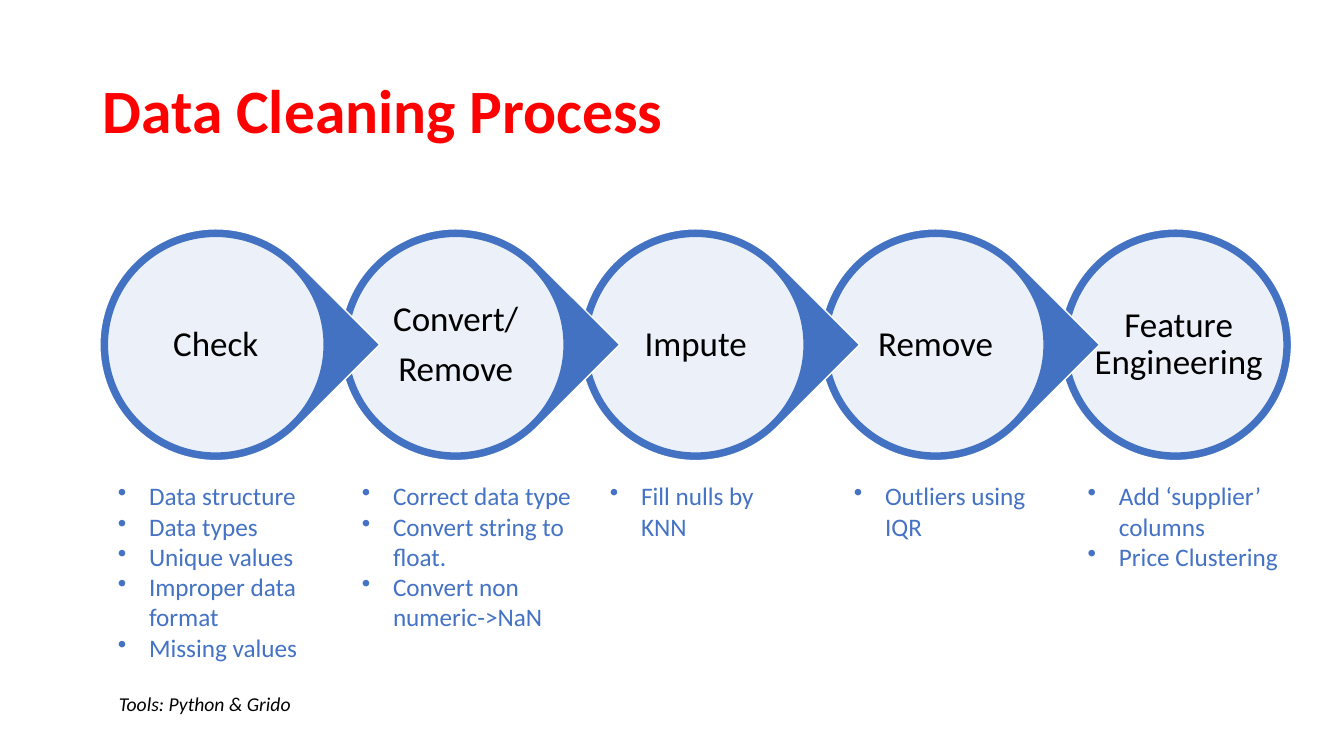
from dataclasses import dataclass

from lxml import etree
from pptx import Presentation
from pptx.dml.color import RGBColor
from pptx.enum.shapes import MSO_SHAPE
from pptx.enum.text import MSO_ANCHOR, PP_ALIGN
from pptx.oxml.ns import qn
from pptx.util import Inches, Pt

ELLIPSE, TEARDROP = MSO_SHAPE.OVAL, MSO_SHAPE.TEAR
TOP, MIDDLE = MSO_ANCHOR.TOP, MSO_ANCHOR.MIDDLE
LEFT, CENTER = PP_ALIGN.LEFT, PP_ALIGN.CENTER


@dataclass(frozen=True)
class Theme:
    font: str = "Calibri"
    title: str = "FF0000"
    ink: str = "000000"
    ring: str = "4372C3"
    bullet: str = "4472C4"
    white: str = "FFFFFF"
    title_size: int = 44
    label_size: int = 25
    bullet_size: int = 18
    note_size: int = 14


@dataclass(frozen=True)
class Step:
    label: tuple
    bullets: tuple
    bullet_left: float  # from the left edge of the circle
    bullet_width: float
    bullet_height: float
    label_left: float = 0.38
    label_width: float = 1.54


THEME = Theme()
STEPS = (
    Step(("Check",),
         ("Data structure", "Data types", "Unique values",
          "Improper data format", "Missing values"), 0.08, 2.08, 1.92),
    Step(("Convert/", "Remove"),
         ("Correct data type", "Convert string to float.",
          "Convert non numeric->NaN"), 0.12, 2.34, 2.22),
    Step(("Impute",), ("Fill nulls by KNN",), 0.2, 2, 1.31),
    Step(("Remove",), ("Outliers using IQR",), 0.24, 2, 1.31),
    Step(("Feature Engineering",),
         ("Add ‘supplier’ columns", "Price Clustering"), 0.18, 2.27, 1.62,
         0.26, 1.84),
)
PITCH = 2.38
DIAMETER = 2.3
RING = 0.075
LABEL_HEIGHT = 1.54
BULLET_TOP = 2.45  # from the top of the circles
INDENT = 0.31


def add_bullet(p, color):
    pPr = p._p.get_or_add_pPr()
    pPr.set("marL", str(Inches(INDENT)))
    pPr.set("indent", str(-Inches(INDENT)))
    clr = etree.SubElement(pPr, qn("a:buClr"))
    etree.SubElement(clr, qn("a:srgbClr"), val=color)
    etree.SubElement(pPr, qn("a:buChar"), char="•")


def add_text(s, box, lines, size, color, bold=False, italic=False, align=LEFT,
             anchor=TOP, margins=(0.1, 0.05), spacing=None, before=0,
             bulleted=False):
    tf = s.shapes.add_textbox(*map(Inches, box)).text_frame
    tf.word_wrap = True
    tf.vertical_anchor = anchor
    tf.margin_left = tf.margin_right = Inches(margins[0])
    tf.margin_top = tf.margin_bottom = Inches(margins[1])
    for i, line in enumerate(lines):
        p = tf.add_paragraph() if i else tf.paragraphs[0]
        p.alignment = align
        if spacing:
            p.line_spacing = spacing
        if i and before:
            p.space_before = Pt(before)
        if bulleted:
            add_bullet(p, color)
        r = p.add_run()
        r.text = line
        r.font.name = THEME.font
        r.font.size = Pt(size)
        r.font.bold = bold
        r.font.italic = italic
        r.font.color.rgb = RGBColor.from_string(color)


def add_round(s, kind, left, top, size, fill, line):
    sp = s.shapes.add_shape(kind, *map(Inches, (left, top, size, size)))
    sp.shadow.inherit = False
    sp.fill.solid()
    sp.fill.fore_color.rgb = RGBColor.from_string(fill)
    sp.line.color.rgb = RGBColor.from_string(line)
    sp.line.width = Pt(1)
    return sp


def add_circle(s, step, left, top, pointed):
    """Draw a ringed circle, pointing at the next one if asked, and its label."""
    outer = add_round(s, TEARDROP if pointed else ELLIPSE, left, top, DIAMETER,
                      THEME.ring, THEME.white)
    if pointed:
        outer.adjustments[0] = 1
        outer.rotation = 45
    inner = add_round(s, ELLIPSE, left + RING, top + RING, DIAMETER - 2 * RING,
                      THEME.white, THEME.ring)
    clr = inner.fill._xPr.find(qn("a:solidFill"))[0]
    etree.SubElement(clr, qn("a:alpha"), val="90000")
    box = (left + step.label_left, top + (DIAMETER - LABEL_HEIGHT) / 2,
           step.label_width, LABEL_HEIGHT)
    add_text(s, box, step.label, THEME.label_size, THEME.ink, align=CENTER,
             anchor=MIDDLE, margins=(0.03, 0.03), spacing=0.9, before=8.8)


def add_process(s, left, top):
    """Place the circles from right to left, so each point overlaps the next."""
    last = len(STEPS) - 1
    for i, step in reversed(list(enumerate(STEPS))):
        add_circle(s, step, left + i * PITCH, top, pointed=i < last)
    for i, step in enumerate(STEPS):
        box = (left + i * PITCH + step.bullet_left, top + BULLET_TOP,
               step.bullet_width, step.bullet_height)
        add_text(s, box, step.bullets, THEME.bullet_size, THEME.bullet,
                 bulleted=True)


def main():
    prs = Presentation()
    prs.slide_width, prs.slide_height = Inches(13.33), Inches(7.5)
    s = prs.slides.add_slide(prs.slide_layouts[6])
    add_text(s, (0.92, 0.4, 11.5, 1.45), ["Data Cleaning Process"],
             THEME.title_size, THEME.title, bold=True, anchor=MIDDLE,
             spacing=0.9)
    add_process(s, 0.99, 2.27)
    add_text(s, (1.08, 6.82, 5.07, 0.34), ["Tools: Python & Grido"],
             THEME.note_size, THEME.ink, italic=True)
    prs.save("out.pptx")


if __name__ == "__main__":
    main()
